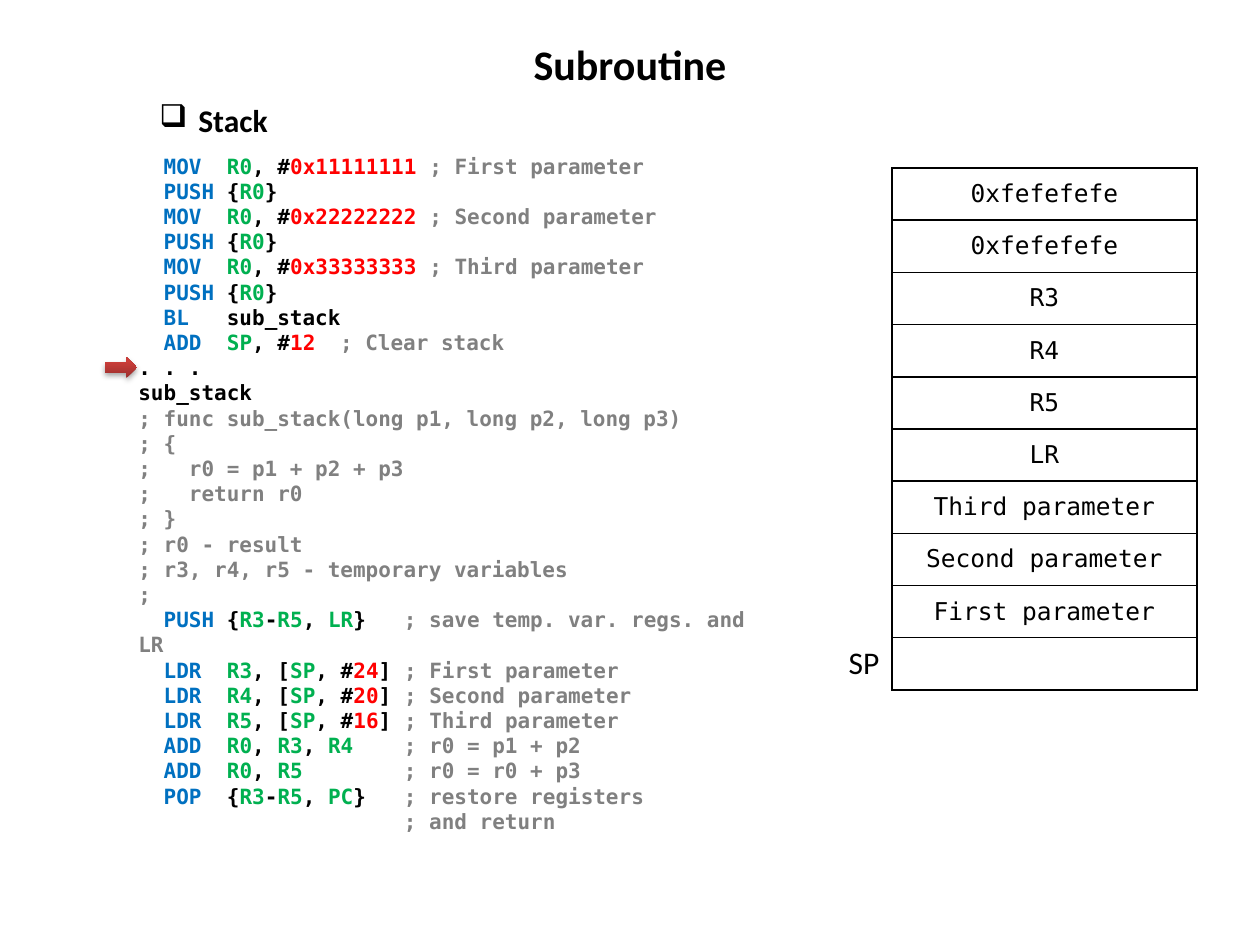
from copy import deepcopy
from itertools import groupby

from lxml import etree
from pptx import Presentation
from pptx.dml.color import RGBColor
from pptx.enum.shapes import MSO_SHAPE
from pptx.enum.text import MSO_ANCHOR, MSO_AUTO_SIZE, PP_ALIGN
from pptx.oxml.ns import qn
from pptx.util import Emu, Pt

CENTER, RIGHT = PP_ALIGN.CENTER, PP_ALIGN.RIGHT
MIDDLE = MSO_ANCHOR.MIDDLE
GROW = MSO_AUTO_SIZE.SHAPE_TO_FIT_TEXT
RIGHT_ARROW = MSO_SHAPE.RIGHT_ARROW

BLACK = RGBColor(0x00, 0x00, 0x00)
BLUE = RGBColor(0x00, 0x70, 0xC0)
GREEN = RGBColor(0x00, 0xB0, 0x50)
RED = RGBColor(0xFF, 0x00, 0x00)
GRAY = RGBColor(0x80, 0x80, 0x80)
ARROW_STOPS = [
    (0, RGBColor(0x9C, 0x2F, 0x2D)),
    (0.8, RGBColor(0xCB, 0x3E, 0x3A)),
    (1, RGBColor(0xCE, 0x3B, 0x37)),
]

SANS, MONO = "Calibri", "DejaVu Sans Mono"
NO_STYLE = "{2D5ABB26-0587-4C30-8999-92F81FD0307C}"
OPCODES = {"MOV", "PUSH", "BL", "ADD", "LDR", "POP"}
REGISTERS = {"R0", "R3", "R4", "R5", "SP", "LR", "PC"}

CODE = """\
  MOV  R0, #0x11111111 ; First parameter
  PUSH {R0}
  MOV  R0, #0x22222222 ; Second parameter
  PUSH {R0}
  MOV  R0, #0x33333333 ; Third parameter
  PUSH {R0}
  BL   sub_stack
  ADD  SP, #12\t ; Clear stack
. . .
sub_stack
; func sub_stack(long p1, long p2, long p3)
; {
;   r0 = p1 + p2 + p3
;   return r0
; }
; r0 - result
; r3, r4, r5 - temporary variables
;
  PUSH {R3-R5, LR}   ; save temp. var. regs. and LR
  LDR  R3, [SP, #24] ; First parameter
  LDR  R4, [SP, #20] ; Second parameter
  LDR  R5, [SP, #16] ; Third parameter
  ADD  R0, R3, R4    ; r0 = p1 + p2
  ADD  R0, R5        ; r0 = r0 + p3
  POP  {R3-R5, PC}   ; restore registers
                     ; and return"""

STACK = ["0xfefefefe", "0xfefefefe", "R3", "R4", "R5", "LR",
         "Third parameter", "Second parameter", "First parameter", ""]


def px(n):
    """Turn pixels into EMU."""
    return Emu(round(n * 914400 / 126))


def add_run(p, text, font=SANS, size=18, color=BLACK, bold=False):
    """Append a formatted run to a paragraph."""
    r = p.add_run()
    r.text = text
    r.font.name, r.font.size, r.font.bold = font, Pt(size), bold
    r.font.color.rgb = color


def add_box(s, box, wrap=True):
    """Add a text box that grows with its text and return its text frame."""
    tf = s.shapes.add_textbox(*map(px, box)).text_frame
    tf.word_wrap = wrap
    tf.auto_size = GROW
    return tf


def add_title(s, box):
    """Place the centred slide title."""
    p = add_box(s, box).paragraphs[0]
    p.alignment = CENTER
    add_run(p, "Subroutine", size=24, bold=True)


def add_heading(s, box):
    """Place the bulleted heading."""
    p = add_box(s, box, wrap=False).paragraphs[0]
    pPr = p._p.get_or_add_pPr()
    indent = px(39)
    pPr.set("marL", str(indent))
    pPr.set("indent", str(-indent))
    etree.SubElement(pPr, qn("a:buChar"), char="❑")
    add_run(p, "Stack", bold=True)


def token_color(token):
    """Pick the highlight colour of an assembler token."""
    if token in OPCODES:
        return BLUE
    if token in REGISTERS:
        return GREEN
    return RED if token[0].isdigit() else BLACK


def add_code(s, box):
    """Place the highlighted assembler listing."""
    tf = add_box(s, box)
    for i, line in enumerate(CODE.split("\n")):
        p = tf.add_paragraph() if i else tf.paragraphs[0]
        code, mark, comment = line.partition(";")
        tokens = ["".join(g) for _, g in groupby(code, lambda c: c.isalnum() or c == "_")]
        for color, group in groupby(tokens, token_color):
            add_run(p, "".join(group), MONO, 12, color, True)
        if mark:
            add_run(p, mark + comment, MONO, 12, GRAY, True)


def add_borders(cell, sides):
    """Draw black one-point borders on the given sides of a cell."""
    tcPr = cell._tc.get_or_add_tcPr()
    for side in sides:
        ln = etree.SubElement(tcPr, qn("a:ln" + side), w=str(Pt(1)))
        fill = etree.SubElement(ln, qn("a:solidFill"))
        etree.SubElement(fill, qn("a:srgbClr"), val=str(BLACK))


def add_stack(s, box, label_width):
    """Place the stack table with the stack pointer label on its last row."""
    x, y, w, h = box
    table = s.shapes.add_table(len(STACK), 2, *map(px, box)).table
    table.first_row = table.horz_banding = False
    table._tbl.tblPr.find(qn("a:tableStyleId")).text = NO_STYLE
    table.columns[0].width = px(label_width)
    table.columns[1].width = px(w - label_width)
    for i, text in enumerate(STACK):
        table.rows[i].height = px(h / len(STACK))
        label, slot = table.cell(i, 0), table.cell(i, 1)
        add_borders(label, "R")
        add_borders(slot, "LRTB")
        label.fill.background()
        slot.fill.background()
        slot.vertical_anchor = MIDDLE
        if text:
            p = slot.text_frame.paragraphs[0]
            p.alignment = CENTER
            add_run(p, text, MONO, 14)
    p = label.text_frame.paragraphs[0]
    p.alignment = RIGHT
    add_run(p, "SP")


def add_pointer(s, box):
    """Place the red arrow that marks the current instruction."""
    sp = s.shapes.add_shape(RIGHT_ARROW, *map(px, box))
    sp.line.fill.background()
    sp.fill.gradient()
    sp.fill.gradient_angle = 90
    spPr = sp._element.spPr
    stops = spPr.find(".//" + qn("a:gsLst"))
    stops.append(deepcopy(stops[-1]))
    for stop, (position, color) in zip(sp.fill.gradient_stops, ARROW_STOPS):
        stop.position = position
        stop.color.rgb = color
    sp.shadow.inherit = False
    shadow = etree.SubElement(spPr.find(qn("a:effectLst")), qn("a:outerShdw"),
                              blurRad="40000", dist="23000", dir="5400000", rotWithShape="0")
    color = etree.SubElement(shadow, qn("a:srgbClr"), val=str(BLACK))
    etree.SubElement(color, qn("a:alpha"), val="35000")


def main():
    """Build the slide and save it."""
    prs = Presentation()
    prs.slide_width, prs.slide_height = px(1260), px(945)
    s = prs.slides.add_slide(prs.slide_layouts[6])
    add_heading(s, (147, 95, 135, 50))
    add_code(s, (126, 147, 662, 699))
    add_stack(s, (766, 168, 431, 522), 126)
    add_pointer(s, (105, 357, 32, 21))
    add_title(s, (0, 32, 1260, 63))
    prs.save("out.pptx")


if __name__ == "__main__":
    main()
